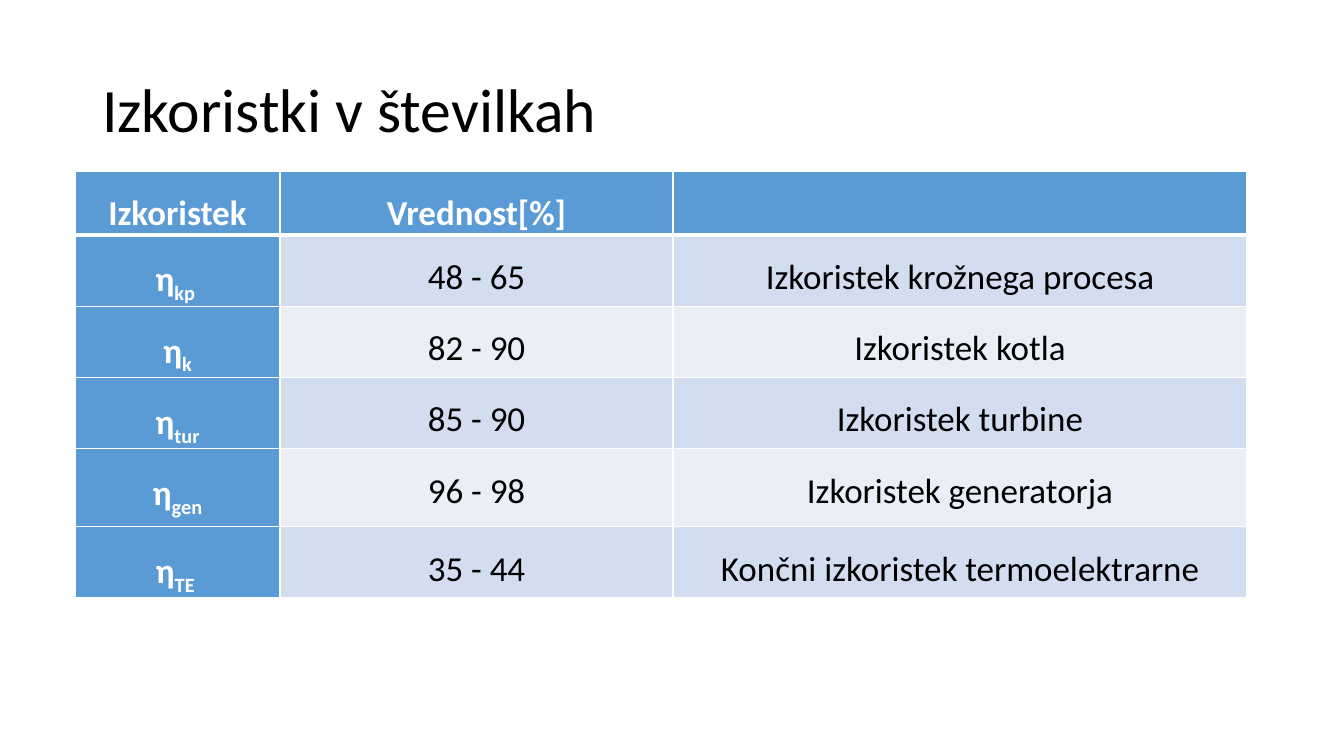
from lxml import etree
from pptx import Presentation
from pptx.dml.color import RGBColor
from pptx.enum.text import MSO_ANCHOR, PP_ALIGN
from pptx.oxml.ns import qn
from pptx.util import Pt

LEFT, CENTER = PP_ALIGN.LEFT, PP_ALIGN.CENTER
TOP, MIDDLE = MSO_ANCHOR.TOP, MSO_ANCHOR.MIDDLE
TITLE_ONLY = 5
PIXEL = 9071.43  # EMU per pixel at 100.8 pixels to the inch
FONT = "Calibri"
COLORS = {
    "white": "FFFFFF",
    "black": "000000",
    "heading": "5B9BD5",
    "odd": "D2DEEF",
    "even": "EAEFF7",
}

HEADINGS = ["Izkoristek", "Vrednost[%]", ""]
EFFICIENCIES = [  # subscript of η, value, meaning
    ("kp ", "48 - 65", "Izkoristek krožnega procesa"),
    ("k", "82 - 90", "Izkoristek kotla"),
    ("tur", "85 - 90", "Izkoristek turbine"),
    ("gen", "96 - 98", "Izkoristek generatorja"),
    ("TE ", "35 - 44", "Končni izkoristek termoelektrarne"),
]
COLUMN_WIDTHS = [205, 393, 574]
ROW_HEIGHTS = [64, 71, 71, 71, 78, 71]


def px(pixels):
    return round(pixels * PIXEL)


def color(name):
    return RGBColor.from_string(COLORS[name])


def write(frame, text, size, ink="black", bold=False, align=LEFT, spacing=1.0,
          subscript=""):
    """Fill the first paragraph of a text frame, with an optional subscript."""
    para = frame.paragraphs[0]
    para.alignment = align
    para.line_spacing = spacing
    for part, baseline in ((text, None), (subscript, "-25000")):
        if not part:
            continue
        span = para.add_run()
        span.text = part
        span.font.name = FONT
        span.font.size = Pt(size)
        span.font.bold = bold
        span.font.color.rgb = color(ink)
        if baseline:
            span.font._element.set("baseline", baseline)


def add_borders(cell, bottom=1):
    """Draw white lines around a cell; widths are in points."""
    properties = cell._tc.get_or_add_tcPr()
    widths = {"a:lnL": 1, "a:lnR": 1, "a:lnT": 1, "a:lnB": bottom}
    for position, (tag, width) in enumerate(widths.items()):
        line = etree.Element(qn(tag), w=str(Pt(width)))
        fill = etree.SubElement(line, qn("a:solidFill"))
        etree.SubElement(fill, qn("a:srgbClr"), val=COLORS["white"])
        properties.insert(position, line)


def fill_cell(cell, text, fill, bottom=1, **text_format):
    cell.margin_left = cell.margin_right = px(7)
    cell.margin_top = cell.margin_bottom = 0
    cell.vertical_anchor = TOP
    cell.fill.solid()
    cell.fill.fore_color.rgb = color(fill)
    add_borders(cell, bottom)
    write(cell.text_frame, text, 25, align=CENTER, spacing=1.5, **text_format)


def add_title(page, text):
    title = page.shapes.title
    title.left, title.top, title.width, title.height = map(px, (92, 40, 1159, 146))
    title.text_frame.vertical_anchor = MIDDLE
    title.text_frame.word_wrap = True
    write(title.text_frame, text, 44, spacing=0.9)


def add_efficiency_table(page, left, top):
    frame = page.shapes.add_table(
        len(ROW_HEIGHTS), len(COLUMN_WIDTHS), px(left), px(top),
        px(sum(COLUMN_WIDTHS)), px(sum(ROW_HEIGHTS)))
    table = frame.table
    table.first_col = True
    for column, width in zip(table.columns, COLUMN_WIDTHS):
        column.width = px(width)
    for row, height in zip(table.rows, ROW_HEIGHTS):
        row.height = px(height)

    # Header row
    for index, heading in enumerate(HEADINGS):
        fill_cell(table.cell(0, index), heading, "heading", bottom=3,
                  ink="white", bold=True)

    # Symbol, value and meaning of each efficiency
    for index, (subscript, value, meaning) in enumerate(EFFICIENCIES, 1):
        band = "odd" if index % 2 else "even"
        fill_cell(table.cell(index, 0), "η", "heading", ink="white", bold=True,
                  subscript=subscript)
        fill_cell(table.cell(index, 1), value, band)
        fill_cell(table.cell(index, 2), meaning, band)


def main():
    deck = Presentation()
    deck.slide_width, deck.slide_height = px(1344), px(756)
    page = deck.slides.add_slide(deck.slide_layouts[TITLE_ONLY])
    add_title(page, "Izkoristki v številkah")
    add_efficiency_table(page, 75, 171)
    deck.save("out.pptx")


main()
